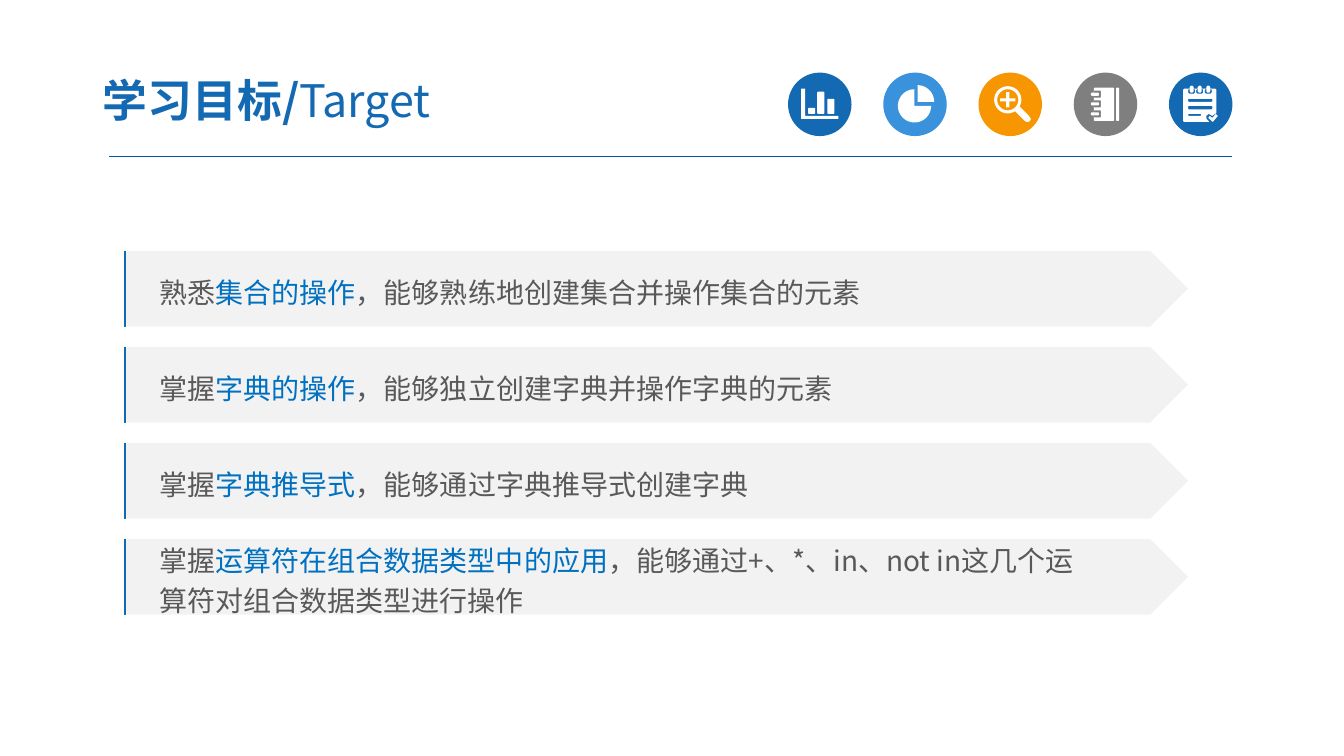
from dataclasses import dataclass
from math import cos, radians, sin

from lxml import etree
from pptx import Presentation
from pptx import util as u
from pptx.dml.color import RGBColor
from pptx.enum import shapes, text
from pptx.oxml.ns import qn


@dataclass(frozen=True)
class Theme:
    font: str = "Noto Sans CJK SC"
    title_size: int = 32
    body_size: int = 20
    blue: str = "1369B2"
    sky: str = "3992DB"
    orange: str = "F79600"
    gray: str = "7F7F7F"
    rule: str = "005B9E"
    panel: str = "F2F2F2"
    ink: str = "595959"
    accent: str = "0070C0"
    white: str = "FFFFFF"


GLYPH_UNIT = 0.0254  # centimetres per glyph grid unit


def arc(x, y, radius, start=0, end=360, steps=32):
    angles = [radians(start + (end - start) * i / steps) for i in range(steps + 1)]
    return [(x + radius * cos(a), y + radius * sin(a)) for a in angles]


def sector(x, y, radius, start, end):
    return [(x, y)] + arc(x, y, radius, start, end)


def bar(left, top, right, bottom, radius=1):
    """Outline of a rectangle with rounded corners."""
    corners = [(right - radius, bottom - radius), (left + radius, bottom - radius),
               (left + radius, top + radius), (right - radius, top + radius)]
    return [point for i, (x, y) in enumerate(corners)
            for point in arc(x, y, radius, 90 * i, 90 * i + 90, 6)]


def chart_glyph():
    axis = [(-18.5, -15.5), (-14.5, -15.5), (-14.5, 11.5), (18.5, 11.5),
            (18.5, 14.5), (-18.5, 14.5)]
    columns = [(-11.5, 3.5), (-2.5, -12.5), (7.5, -5.5)]
    return [axis] + [bar(x, top, x + 7, 9.5) for x, top in columns]


def pie_glyph():
    return [sector(-0.5, 1.5, 16.5, 0, 270), sector(2.5, -2.5, 16.5, 270, 360)]


def magnifier_glyph():
    x, y, arm, half = -2.5, -4.5, 7.5, 1.5
    plus = [(-arm, -half), (-half, -half), (-half, -arm), (half, -arm),
            (half, -half), (arm, -half), (arm, half), (half, half),
            (half, arm), (-half, arm), (-half, half), (-arm, half)]
    handle = [(5, 7), (9.5, 2.5), (18.5, 11.5), (20.5, 14.5), (19, 17),
              (16.5, 17.5), (14.5, 16.5)]
    return [arc(x, y, 13.5), arc(x, y, 10.5),
            [(x + dx, y + dy) for dx, dy in plus], handle]


def notebook_glyph():
    outlines = [bar(10.5, -16.5, 13.5, 16.5), bar(-11.5, -16.5, 8.5, 16.5)]
    for y in (-10, -0.5, 9.5):
        outlines += [bar(-11.5, y - 3.5, -4.5, y + 3.5, 0.5),
                     bar(-14.5, y - 1.5, -6.5, y + 1.5)]
    return outlines


def checklist_glyph():
    sheet = [(-16.5, -15.5), (14.5, -15.5), (15.5, -14.5), (15.5, 8.5),
             (11.5, 11.5), (8, 9.5), (5.5, 11.5), (5.5, 14), (8.5, 17.5),
             (-16.5, 17.5), (-17.5, 16.5), (-17.5, -14.5)]
    check = [(7.5, 13.5), (9, 11.5), (11.5, 13.5), (15, 9.5), (17, 11.5), (12, 17.5)]
    lines = [bar(-12.5, -5.5, 11.5, -2.5), bar(-12.5, 1.5, 11.5, 5),
             bar(-12.5, 9.5, 0.5, 11.5)]
    outlines = [sheet, check] + lines
    for x in (-9, -1, 7.5):
        outlines += [bar(x - 3.5, -15.5, x + 3.5, -10.5, 2),
                     bar(x - 2, -18.5, x + 2, -11.5, 2)]
    return outlines


class Page:
    def __init__(self, deck, theme):
        self.theme = theme
        self.slide = deck.slides.add_slide(deck.slide_layouts[5])
        self.shapes = self.slide.shapes

    def paint(self, shape, color):
        shape.shadow.inherit = False
        shape.fill.solid()
        shape.fill.fore_color.rgb = RGBColor.from_string(color)
        shape.line.fill.background()

    def style(self, para, size, color):
        para.alignment = text.PP_ALIGN.LEFT
        para.font.size = u.Pt(size)
        para.font.color.rgb = RGBColor.from_string(color)
        para.font.name = self.theme.font
        east_asian = etree.SubElement(para.font._element, qn("a:ea"))
        east_asian.set("typeface", self.theme.font)

    def title(self, strong, light, left, top, width, height):
        box = self.shapes.title
        box.left, box.top, box.width, box.height = map(u.Cm, (left, top, width, height))
        frame = box.text_frame
        frame.auto_size = text.MSO_AUTO_SIZE.NONE
        frame.vertical_anchor = text.MSO_ANCHOR.MIDDLE
        frame.margin_left = frame.margin_right = u.Cm(0.33)
        para = frame.paragraphs[0]
        self.style(para, self.theme.title_size, self.theme.blue)
        for words, bold in ((strong, True), (light, False)):
            span = para.add_run()
            span.text = words
            span.font.bold = bold

    def line(self, x1, y1, x2, y2, color, weight):
        line = self.shapes.add_connector(
            shapes.MSO_CONNECTOR.STRAIGHT, *map(u.Cm, (x1, y1, x2, y2)))
        line.line.color.rgb = RGBColor.from_string(color)
        line.line.width = u.Pt(weight)
        etree.SubElement(line._element.spPr, qn("a:effectLst"))

    def icon(self, left, top, size, color, outlines):
        disc = self.shapes.add_shape(
            shapes.MSO_SHAPE.OVAL, *map(u.Cm, (left, top, size, size)))
        self.paint(disc, color)
        placed = [[(u.Cm(left + size / 2 + x * GLYPH_UNIT),
                    u.Cm(top + size / 2 + y * GLYPH_UNIT)) for x, y in outline]
                  for outline in outlines]
        builder = self.shapes.build_freeform(*placed[0][0])
        for outline in placed:
            builder.move_to(*outline[0])
            builder.add_line_segments(outline[1:], close=True)
        self.paint(builder.convert_to_shape(), self.theme.white)

    def goal(self, paragraphs, left, top, width, height):
        """Arrow panel with a blue left edge; each paragraph lists (words, highlighted)."""
        panel = self.shapes.add_shape(
            shapes.MSO_SHAPE.PENTAGON, *map(u.Cm, (left, top, width, height)))
        self.paint(panel, self.theme.panel)
        frame = panel.text_frame
        frame.word_wrap = True
        frame.vertical_anchor = text.MSO_ANCHOR.MIDDLE
        frame.margin_left = u.Cm(0.9)
        for index, pieces in enumerate(paragraphs):
            para = frame.add_paragraph() if index else frame.paragraphs[0]
            para.line_spacing = 1.2
            self.style(para, self.theme.body_size, self.theme.ink)
            for words, highlighted in pieces:
                span = para.add_run()
                span.text = words
                color = self.theme.accent if highlighted else self.theme.ink
                span.font.color.rgb = RGBColor.from_string(color)
        self.line(left + 0.03, top, left + 0.03, top + height, self.theme.blue, 1.5)


GOALS = [
    [[("熟悉", False), ("集合的操作", True),
      ("，能够熟练地创建集合并操作集合的元素", False)]],
    [[("掌握", False), ("字典的操作", True),
      ("，能够独立创建字典并操作字典的元素", False)]],
    [[("掌握", False), ("字典推导式", True),
      ("，能够通过字典推导式创建字典", False)]],
    [[("掌握", False), ("运算符在组合数据类型中的应用", True),
      ("，能够通过+、*、in、not in这几个运", False)],
     [("算符对组合数据类型进行操作", False)]],
]


def main():
    deck = Presentation()
    deck.slide_width, deck.slide_height = u.Cm(33.87), u.Cm(19.05)
    theme = Theme()
    page = Page(deck, theme)
    page.line(2.75, 3.94, 31.06, 3.94, theme.rule, 0.75)
    icons = [(theme.blue, chart_glyph), (theme.sky, pie_glyph),
             (theme.orange, magnifier_glyph), (theme.gray, notebook_glyph),
             (theme.blue, checklist_glyph)]
    for index, (color, glyph) in enumerate(icons):
        page.icon(19.86 + 2.4 * index, 1.83, 1.6, color, glyph())
    page.title("学习目标/", "Target", 2.26, 1.6, 13.26, 1.83)
    for index, paragraphs in enumerate(GOALS):
        page.goal(paragraphs, 3.12, 6.32 + 2.42 * index, 26.82, 1.91)
    deck.save("out.pptx")


if __name__ == "__main__":
    main()
